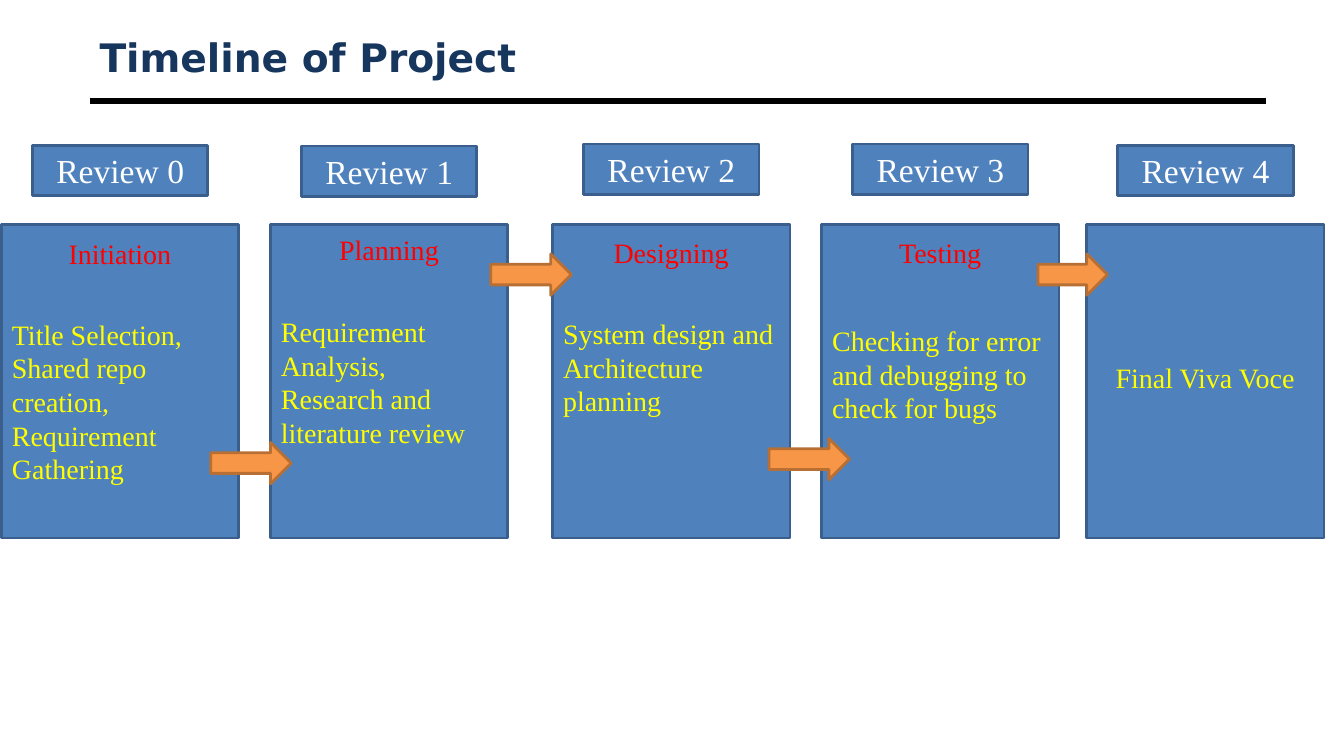
from dataclasses import dataclass

from lxml import etree
from pptx import Presentation
from pptx.dml.color import RGBColor
from pptx.enum.shapes import MSO_CONNECTOR, MSO_SHAPE
from pptx.enum.text import MSO_ANCHOR, PP_ALIGN
from pptx.oxml.ns import qn
from pptx.shapes.autoshape import Shape
from pptx.slide import Slide
from pptx.text.text import TextFrame
from pptx.util import Cm, Pt

RECTANGLE = MSO_SHAPE.RECTANGLE
RIGHT_ARROW = MSO_SHAPE.RIGHT_ARROW
STRAIGHT = MSO_CONNECTOR.STRAIGHT
MIDDLE = MSO_ANCHOR.MIDDLE
TOP = MSO_ANCHOR.TOP
LEFT = PP_ALIGN.LEFT
CENTER = PP_ALIGN.CENTER

COLORS = {
    "title": "17365D",
    "rule": "000000",
    "card": "4F81BD",
    "card_edge": "3A5F8C",
    "arrow": "F79646",
    "arrow_edge": "B76F34",
    "review": "FFFFFF",
    "stage": "FF0000",
    "tasks": "FFFF00",
}
SERIF = "Times New Roman"
TITLE_FONT = "DejaVu Sans"

CARD_TOP, CARD_WIDTH, CARD_HEIGHT = 5.66, 5.99, 7.9
REVIEW_INSET, REVIEW_WIDTH, REVIEW_HEIGHT = 0.79, 4.42, 1.27
STAGE_HEIGHT = 1.12
ARROW_HEIGHT = 1.04


@dataclass(frozen=True)
class Box:
    left: float
    top: float
    width: float
    height: float


@dataclass(frozen=True)
class Phase:
    left: float
    review_top: float
    stage: str
    stage_top: float
    tasks: tuple[str, ...]
    tasks_top: float
    tasks_height: float
    tasks_width: float = 5.94
    tasks_align: PP_ALIGN = LEFT


PHASES = [
    Phase(0.03, 3.66, "Initiation", 5.84,
          ("Title Selection, Shared repo creation,", "Requirement Gathering"), 7.87, 4.52),
    Phase(6.81, 3.68, "Planning", 5.74,
          ("Requirement Analysis, Research and literature review",), 7.8, 3.68, 5.82),
    Phase(13.92, 3.63, "Designing", 5.82,
          ("System design and Architecture planning",), 7.85, 2.82),
    Phase(20.7, 3.63, "Testing", 5.82,
          ("Checking for error and debugging to check for bugs",), 8.03, 2.82),
    Phase(27.38, 3.66, "", 5.82, ("Final Viva Voce",), 8.97, 1.12, tasks_align=CENTER),
]

ARROWS = [
    Box(5.31, 11.15, 2.03, ARROW_HEIGHT),
    Box(12.37, 6.4, 2.03, ARROW_HEIGHT),
    Box(19.38, 11.05, 2.03, ARROW_HEIGHT),
    Box(26.16, 6.4, 1.75, ARROW_HEIGHT),
]


def color(role: str) -> RGBColor:
    return RGBColor.from_string(COLORS[role])


def write(frame: TextFrame, lines: tuple[str, ...], role: str, size: float,
          align: PP_ALIGN, anchor: MSO_ANCHOR = TOP, font: str = SERIF, bold: bool = False) -> None:
    frame.word_wrap = True
    frame.vertical_anchor = anchor
    frame.text = "\n".join(lines)
    for paragraph in frame.paragraphs:
        paragraph.alignment = align
        paragraph.font.name = font
        paragraph.font.size = Pt(size)
        paragraph.font.bold = bold
        paragraph.font.color.rgb = color(role)


def add_block(slide: Slide, preset: MSO_SHAPE, box: Box, role: str) -> Shape:
    block = slide.shapes.add_shape(
        preset, Cm(box.left), Cm(box.top), Cm(box.width), Cm(box.height))
    block.shadow.inherit = False
    block.fill.solid()
    block.fill.fore_color.rgb = color(role)
    block.line.color.rgb = color(f"{role}_edge")
    block.line.width = Pt(2)
    return block


def add_label(slide: Slide, box: Box) -> TextFrame:
    return slide.shapes.add_textbox(
        Cm(box.left), Cm(box.top), Cm(box.width), Cm(box.height)).text_frame


def add_header(slide: Slide) -> None:
    rule = slide.shapes.add_connector(STRAIGHT, Cm(2.26), Cm(2.54), Cm(31.9), Cm(2.54))
    rule.line.color.rgb = color("rule")
    rule.line.width = Pt(4.5)
    etree.SubElement(rule._element.spPr, qn("a:effectLst"))
    title = add_label(slide, Box(2.26, 0.76, 29.64, 1.35))
    write(title, ("Timeline of Project",), "title", 28, LEFT, MIDDLE, TITLE_FONT, True)


def add_cards(slide: Slide, number: int, phase: Phase) -> None:
    review = add_block(slide, RECTANGLE, Box(
        phase.left + REVIEW_INSET, phase.review_top, REVIEW_WIDTH, REVIEW_HEIGHT), "card")
    write(review.text_frame, (f"Review {number}",), "review", 24, CENTER, MIDDLE)
    add_block(slide, RECTANGLE, Box(phase.left, CARD_TOP, CARD_WIDTH, CARD_HEIGHT), "card")


def add_phase_text(slide: Slide, phase: Phase) -> None:
    if phase.stage:
        stage = add_label(slide, Box(phase.left, phase.stage_top, CARD_WIDTH, STAGE_HEIGHT))
        write(stage, (phase.stage,), "stage", 20, CENTER)
    tasks = add_label(slide, Box(
        phase.left + 0.02, phase.tasks_top, phase.tasks_width, phase.tasks_height))
    write(tasks, phase.tasks, "tasks", 20, phase.tasks_align)


def main() -> None:
    presentation = Presentation()
    presentation.slide_width = Cm(33.87)
    presentation.slide_height = Cm(19.05)
    slide = presentation.slides.add_slide(presentation.slide_layouts[6])
    add_header(slide)
    for number, phase in enumerate(PHASES):
        add_cards(slide, number, phase)
    for arrow in ARROWS:
        add_block(slide, RIGHT_ARROW, arrow, "arrow")
    for phase in PHASES:
        add_phase_text(slide, phase)
    presentation.save("out.pptx")


if __name__ == "__main__":
    main()
